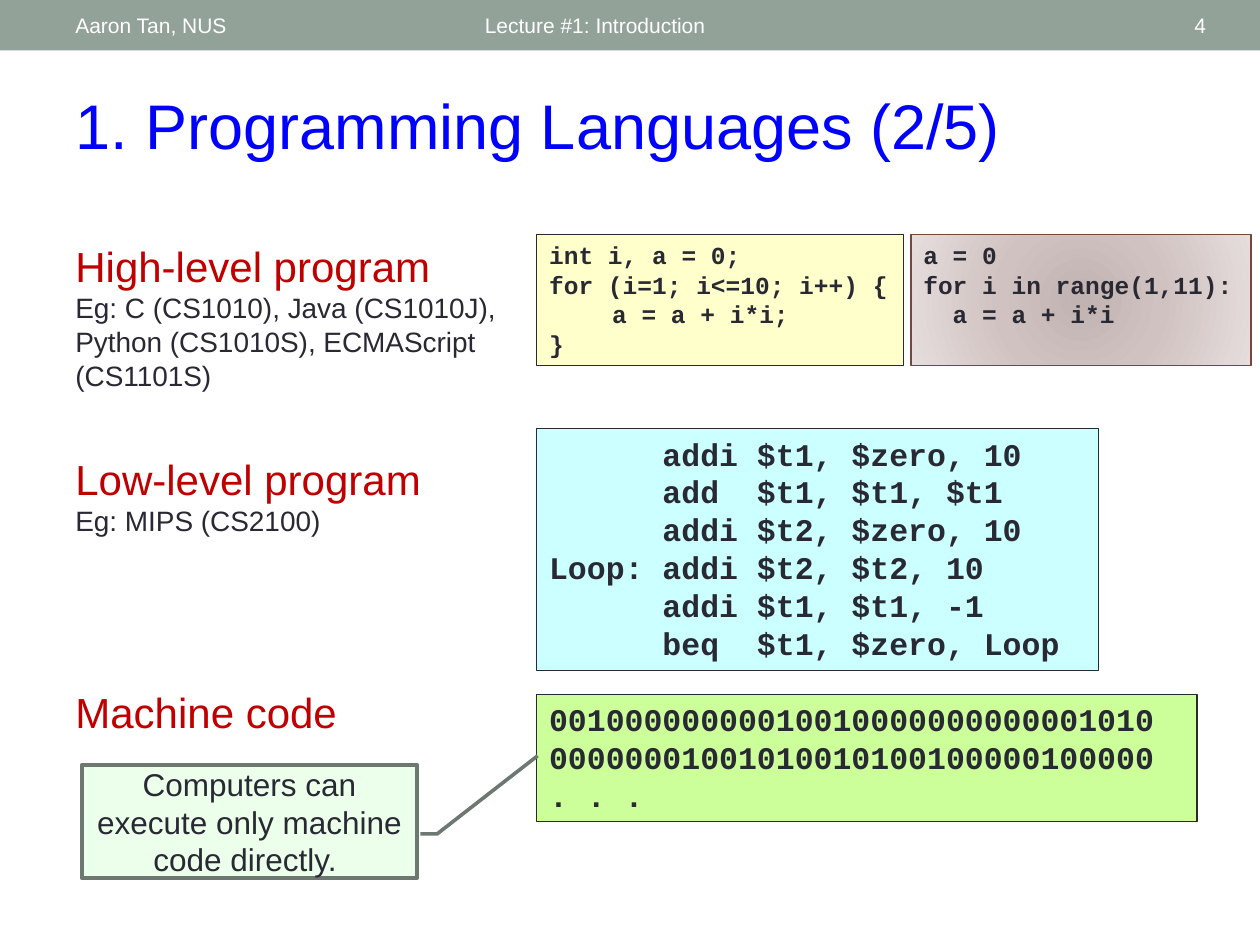
from dataclasses import dataclass

from lxml.etree import SubElement
from pptx import Presentation
from pptx.dml.color import RGBColor
from pptx.enum.shapes import MSO_SHAPE
from pptx.enum.text import MSO_ANCHOR, MSO_AUTO_SIZE, PP_ALIGN
from pptx.oxml.ns import qn
from pptx.util import Inches, Pt

INK, WHITE, RED, BLUE = "292934", "FFFFFF", "C00000", "0000FF"
LEFT, CODE_LEFT = 0.5, 4.26


@dataclass
class Level:
    heading: str
    example: str
    top: float
    width: float
    height: float


@dataclass
class Code:
    lines: list[str]
    left: float
    top: float
    width: float
    height: float
    size: int
    fill: str | None
    border: str = INK


LEVELS = [
    Level("High-level program",
          "Eg: C (CS1010), Java (CS1010J), Python (CS1010S), ECMAScript (CS1101S)",
          1.86, 3.6, 1.31),
    Level("Low-level program", "Eg: MIPS (CS2100)", 3.55, 3.36, 0.77),
    Level("Machine code", "", 5.4, 3.36, 0.5),
]

C_CODE = Code(["int i, a = 0;", "for (i=1; i<=10; i++) {", "\ta = a + i*i;", "}"],
              CODE_LEFT, 1.86, 2.91, 1.04, 14, "FFFFCC")
MIPS_CODE = Code(["      addi $t1, $zero, 10",
                  "      add  $t1, $t1, $t1",
                  "      addi $t2, $zero, 10",
                  "Loop: addi $t2, $t2, 10",
                  "      addi $t1, $t1, -1",
                  "      beq  $t1, $zero, Loop"],
                 CODE_LEFT, 3.4, 4.46, 1.92, 18, "CCFFFF")
MACHINE_CODE = Code(["00100000000010010000000000001010",
                     "00000001001010010100100000100000",
                     ". . ."],
                    CODE_LEFT, 5.51, 5.24, 1.01, 18, "CCFF99")
PYTHON_CODE = Code(["a = 0", "for i in range(1,11):", "  a = a + i*i"],
                   7.23, 1.86, 2.7, 1.04, 14, None, "79463D")


def rgb(color: str) -> RGBColor:
    return RGBColor.from_string(color)


def box(left: float, top: float, width: float, height: float) -> tuple:
    return Inches(left), Inches(top), Inches(width), Inches(height)


def write(shape, lines: list[str], *, sizes: list[float], colors: list[str],
          font: str = "Arial", bold: bool = False, align=PP_ALIGN.LEFT,
          anchor=MSO_ANCHOR.TOP) -> None:
    """Fill a shape with one paragraph a line; the last size and colour carry on."""
    frame = shape.text_frame
    frame.word_wrap = True
    frame.auto_size = MSO_AUTO_SIZE.NONE
    frame.vertical_anchor = anchor
    for i, line in enumerate(lines):
        paragraph = frame.add_paragraph() if i else frame.paragraphs[0]
        paragraph.alignment = align
        run = paragraph.add_run()
        run.text = line
        run.font.name = font
        run.font.bold = bold
        run.font.size = Pt(sizes[min(i, len(sizes) - 1)])
        run.font.color.rgb = rgb(colors[min(i, len(colors) - 1)])


def add_panel(slide, kind, area: tuple, fill: str | None,
              border: str | None = None, weight: float = 0.75):
    panel = slide.shapes.add_shape(kind, *area)
    panel.shadow.inherit = False
    if fill:
        panel.fill.solid()
        panel.fill.fore_color.rgb = rgb(fill)
    if border:
        panel.line.color.rgb = rgb(border)
        panel.line.width = Pt(weight)
    else:
        panel.line.fill.background()
    return panel


def fill_radially(shape, stops: list[tuple[int, str]]) -> None:
    """Give a shape a circular gradient, its first stop at the centre."""
    shape.fill.gradient()
    gradient = shape._element.spPr.find(qn("a:gradFill"))
    for child in list(gradient):
        gradient.remove(child)
    stop_list = SubElement(gradient, qn("a:gsLst"))
    for percent, color in stops:
        stop = SubElement(stop_list, qn("a:gs"), pos=str(percent * 1000))
        SubElement(stop, qn("a:srgbClr"), val=color)
    circle = SubElement(gradient, qn("a:path"), {"path": "circle"})
    SubElement(circle, qn("a:fillToRect"), dict.fromkeys("ltrb", "50000"))


def add_header(slide) -> None:
    add_panel(slide, MSO_SHAPE.RECTANGLE, box(0, 0, 10, 0.4), "93A299")
    for words, left, width, align in [
        ("Aaron Tan, NUS", LEFT, 3.17, PP_ALIGN.LEFT),
        ("Lecture #1: Introduction", 3.75, 4.5, PP_ALIGN.LEFT),
        ("4", 8.72, 0.95, PP_ALIGN.RIGHT),
    ]:
        label = slide.shapes.add_textbox(*box(left, 0.02, width, 0.36))
        write(label, [words], sizes=[12], colors=[WHITE], align=align,
              anchor=MSO_ANCHOR.MIDDLE)


def add_title(slide, words: str) -> None:
    title = slide.shapes.title
    title.left, title.top, title.width, title.height = box(LEFT, 0.64, 9, 0.71)
    write(title, [words], sizes=[36], colors=[BLUE])


def add_level(slide, level: Level) -> None:
    area = box(LEFT, level.top, level.width, level.height)
    lines = [line for line in (level.heading, level.example) if line]
    write(slide.shapes.add_textbox(*area), lines, sizes=[24, 16], colors=[RED, INK])


def add_code(slide, code: Code):
    area = box(code.left, code.top, code.width, code.height)
    panel = add_panel(slide, MSO_SHAPE.RECTANGLE, area, code.fill, code.border)
    write(panel, code.lines, sizes=[code.size], colors=[INK],
          font="Courier New", bold=True)
    return panel


def add_callout(slide, words: str) -> None:
    callout = add_panel(slide, MSO_SHAPE.LINE_CALLOUT_2, box(0.65, 6.07, 2.66, 0.9),
                        "EBFFEB", "6D7871", 2.08)
    # y, x of the start, bend and tip of the leader, as shares of the box
    for i, share in enumerate([0.61, 1.01, 0.61, 1.06, -0.08, 1.36]):
        callout.adjustments[i] = share
    write(callout, [words], sizes=[18], colors=[INK], align=PP_ALIGN.CENTER,
          anchor=MSO_ANCHOR.MIDDLE)


def main() -> None:
    deck = Presentation()
    deck.slide_width, deck.slide_height = Inches(10), Inches(7.5)
    slide = deck.slides.add_slide(deck.slide_layouts[5])
    add_header(slide)
    add_title(slide, "1. Programming Languages (2/5)")
    for level in LEVELS:
        add_level(slide, level)
    for code in (C_CODE, MIPS_CODE, MACHINE_CODE):
        add_code(slide, code)
    add_callout(slide, "Computers can execute only machine code directly. ")
    python_panel = add_code(slide, PYTHON_CODE)
    fill_radially(python_panel, [(0, "C0B3B1"), (45, "D0C2C0"), (100, "E5DEDD")])
    deck.save("out.pptx")


if __name__ == "__main__":
    main()
